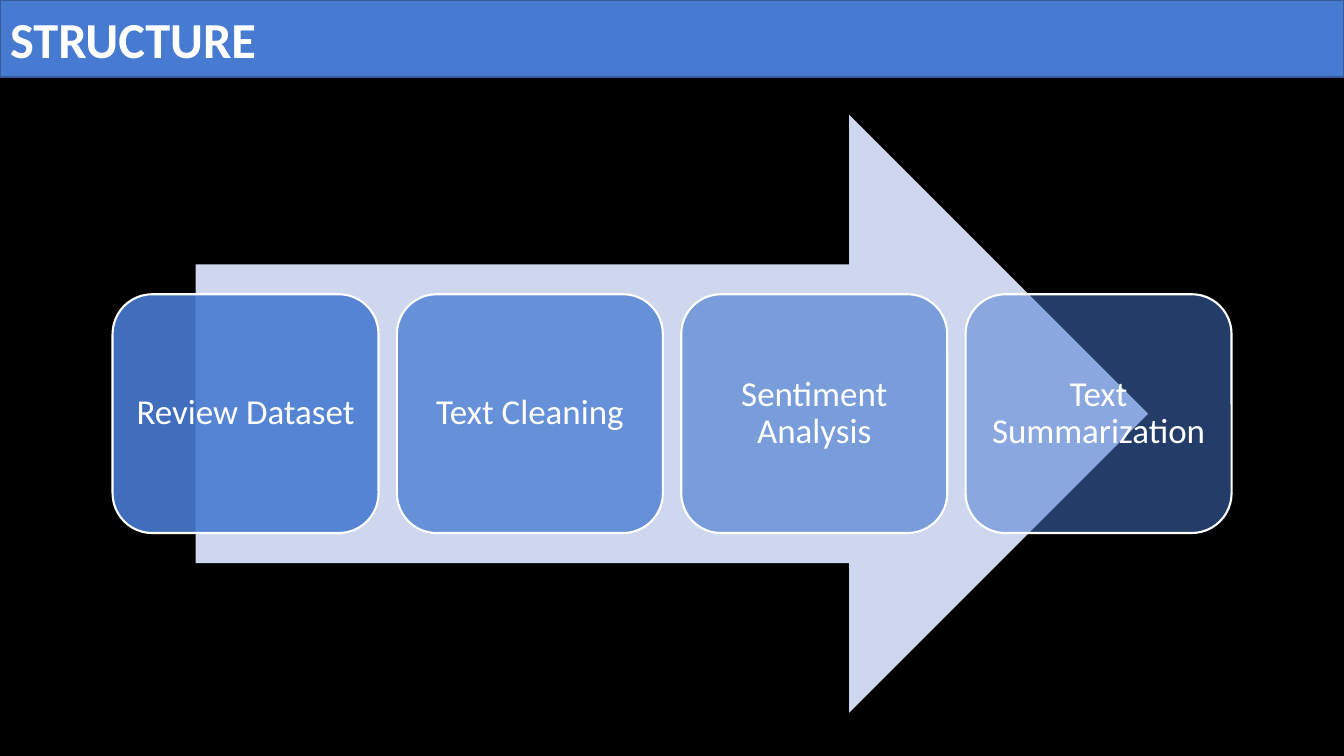
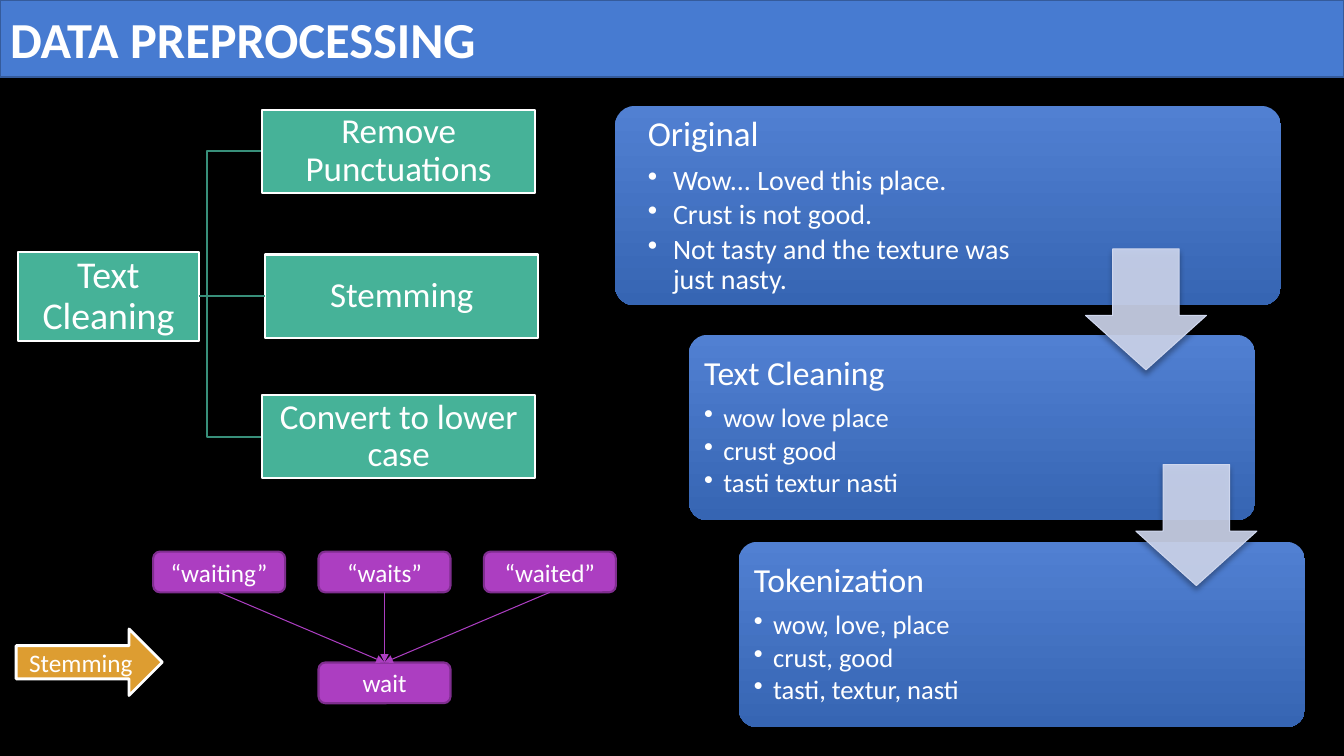
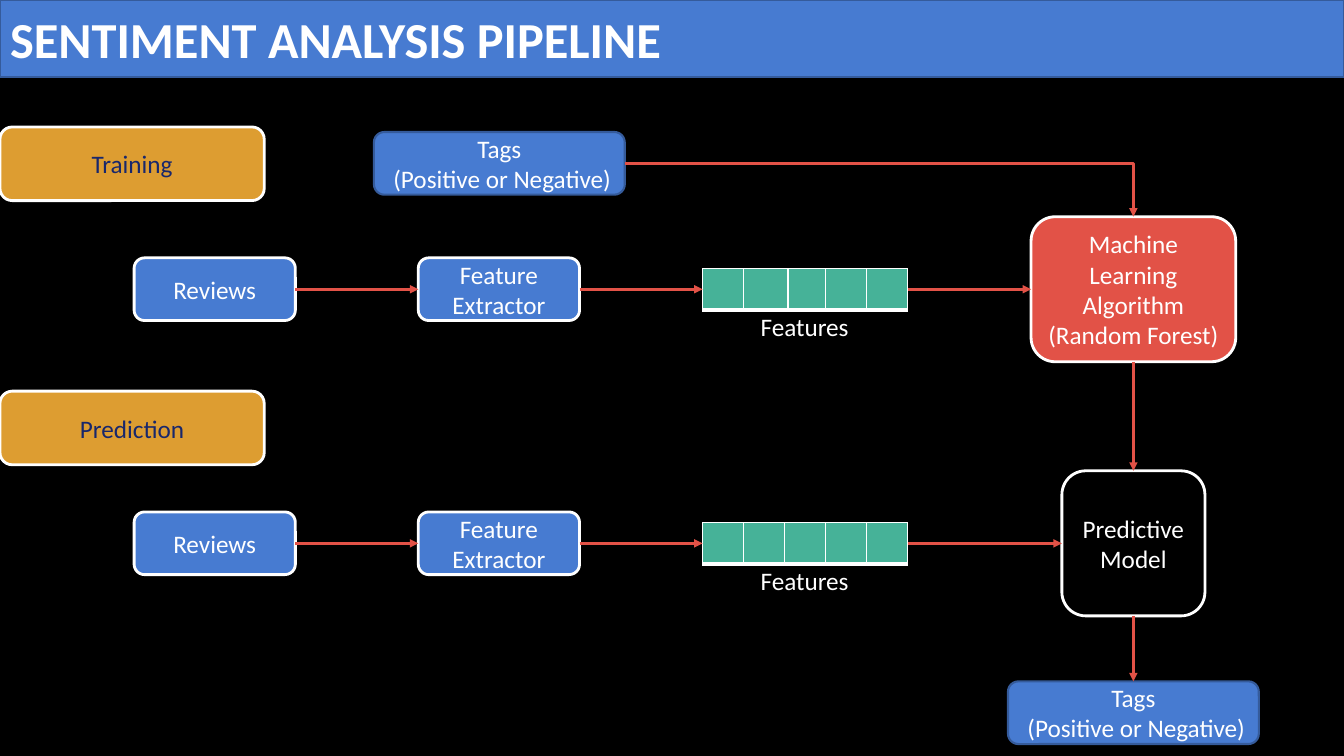
"""Build three slides on a review sentiment pipeline."""
from dataclasses import dataclass

from pptx import Presentation
from pptx.dml.color import RGBColor
from pptx.enum import shapes, text
from pptx.oxml import parse_xml
from pptx.oxml.ns import nsdecls, qn
from pptx.oxml.xmlchemy import OxmlElement
from pptx.util import Pt


@dataclass(frozen=True)
class Theme:
    font: str = "Calibri"
    back: str = "000000"
    white: str = "FFFFFF"
    blue: str = "477BD1"
    navy: str = "355B9B"
    ink: str = "18276C"
    pale: str = "CFD7EE"
    top: str = "5180D2"
    base: str = "3665B3"
    green: str = "46B298"
    moss: str = "388F7A"
    plum: str = "AC3EC1"
    grape: str = "7F2E8F"
    gold: str = "DD9D31"
    red: str = "E25247"
    head: int = 36
    root: int = 27
    step: int = 25
    body: int = 18


T = Theme()
S = shapes.MSO_SHAPE
C = shapes.MSO_CONNECTOR
MID = text.MSO_ANCHOR.MIDDLE
rgb = RGBColor.from_string


def box(page, kind, place, lines=(), fill=T.blue, edge=None, size=T.body,
        ink=T.white, pad=(7.2, 3.6, 7.2, 3.6), lead=1.0, alpha=100):
    """Add a preset shape with its text and return it."""
    shape = page.shapes.add_shape(kind, *map(Pt, place))
    shape.shadow.inherit = False
    shape.fill.solid()
    shape.fill.fore_color.rgb = rgb(fill)
    if alpha < 100:
        tone = shape._element.spPr.find(qn("a:solidFill"))[0]
        tone.append(OxmlElement("a:alpha"))
        tone[0].set("val", str(alpha * 1000))
    if edge:
        shape.line.color.rgb = rgb(edge[0])
        shape.line.width = Pt(edge[1])
    else:
        shape.line.fill.background()
    frame = shape.text_frame
    frame.word_wrap = True
    frame.vertical_anchor = MID
    (frame.margin_left, frame.margin_top,
     frame.margin_right, frame.margin_bottom) = map(Pt, pad)
    for n, words in enumerate(lines):
        para = frame.add_paragraph() if n else frame.paragraphs[0]
        para.alignment = text.PP_ALIGN.CENTER
        para.line_spacing = lead
        run = para.add_run()
        run.text = words
        run.font.name = T.font
        run.font.size = Pt(size)
        run.font.color.rgb = rgb(ink)
    return shape


def link(page, a, i, b, j, hue=T.red, wide=2, kind=C.STRAIGHT, head=True):
    """Join side i of a to side j of b (0 top, 1 left, 2 bottom, 3 right)."""
    ends = []
    for item, side in ((a, i), (b, j)):
        ends.append(item.left + int(item.width * (0.5, 0, 0.5, 1)[side]))
        ends.append(item.top + int(item.height * (0, 0.5, 1, 0.5)[side]))
    line = page.shapes.add_connector(kind, *ends)
    if not a.has_table:
        line.begin_connect(a, i)
    if not b.has_table:
        line.end_connect(b, j)
    line.line.color.rgb = rgb(hue)
    line.line.width = Pt(wide)
    form = line._element.spPr
    if head:
        tip = OxmlElement("a:tailEnd")
        tip.set("type", "triangle")
        form.find(qn("a:ln")).append(tip)
    form.append(OxmlElement("a:effectLst"))
    return line


deck = Presentation()
deck.slide_width, deck.slide_height = Pt(960), Pt(540)
ground = deck.slide_master.background.fill
ground.solid()
ground.fore_color.rgb = rgb(T.back)

pages = []
for words in ("STRUCTURE", "DATA PREPROCESSING", "SENTIMENT ANALYSIS PIPELINE"):
    page = deck.slides.add_slide(deck.slide_layouts[5])
    pages.append(page)
    title = page.shapes.title
    title.left, title.top, title.width, title.height = map(Pt, (0, 0, 960, 55.2))
    title.fill.solid()
    title.fill.fore_color.rgb = rgb(T.blue)
    title.line.color.rgb = rgb(T.navy)
    title.line.width = Pt(1.5)
    frame = title.text_frame
    frame.auto_size = text.MSO_AUTO_SIZE.NONE
    frame.vertical_anchor = MID
    para = frame.paragraphs[0]
    para.alignment = text.PP_ALIGN.LEFT
    run = para.add_run()
    run.text = words
    run.font.name = T.font
    run.font.size = Pt(T.head)
    run.font.bold = True
    run.font.color.rgb = rgb(T.white)
plan, prep, flow = pages

box(plan, S.RIGHT_ARROW, (139.7, 82.1, 680.4, 427), fill=T.pale)
steps = (("Review Dataset", 90), ("Text Cleaning", 77),
         ("Sentiment Analysis", 63), ("Text Summarization", 50))
for n, (words, alpha) in enumerate(steps):
    box(plan, S.ROUNDED_RECTANGLE, (80.4 + 203.1 * n, 210.2, 190, 170.6), [words],
        edge=(T.white, 1.5), size=T.step, pad=(7,) * 4, lead=0.9, alpha=alpha)

cards = (
    ((439.2, 75.6, 475.9, 142.6), 25, 20, 18, (19.4, 7.2, 166.5, 7.2),
     ("Original", "Wow... Loved this place.", "Crust is not good.",
      "Not tasty and the texture was just nasty.")),
    ((492, 239.2, 404.6, 132.5), 24, 19, 13.7, (7.2, 7.2, 129.7, 7.2),
     ("Text Cleaning", "wow love place", "crust good", "tasti textur nasti")),
    ((527.6, 387, 404.6, 132.5), 24, 19, 13.7, (7.2, 7.2, 129.7, 7.2),
     ("Tokenization", "wow, love, place", "crust, good", "tasti, textur, nasti")),
)
for place, big, small, dent, pad, lines in cards:
    card = box(prep, S.ROUNDED_RECTANGLE, place, lines, size=small, pad=pad, lead=0.9)
    card.adjustments[0] = 0.1
    card.fill.gradient()
    card.fill.gradient_angle = 270
    for stop, hue in zip(card.fill.gradient_stops, (T.top, T.base)):
        stop.color.rgb = rgb(hue)
    for n, para in enumerate(card.text_frame.paragraphs):
        para.alignment = text.PP_ALIGN.LEFT
        para.space_after = Pt(small * 0.15 if n else big * 0.35)
        if n:
            props = para._p.get_or_add_pPr()
            props.set("marL", str(Pt(dent)))
            props.set("indent", str(-Pt(dent)))
            mark = OxmlElement("a:buChar")
            mark.set("char", "•")
            props.append(mark)
        else:
            para.runs[0].font.size = Pt(big)

for x, y in ((775.4, 177.8), (811.4, 331.9)):
    down = box(prep, S.DOWN_ARROW, (x, y, 86.4, 86.4), fill=T.pale,
               edge=(T.pale, 0.75), alpha=90)
    down.adjustments[0], down.adjustments[1] = 0.55, 0.45
    form = down._element.spPr
    form.remove(form.find(qn("a:effectLst")))
    form.append(parse_xml(
        f'<a:effectLst {nsdecls("a")}><a:outerShdw blurRad="{Pt(4)}" dist="{Pt(3)}" '
        f'dir="5400000" rotWithShape="0"><a:srgbClr val="{T.back}">'
        '<a:alpha val="35000"/></a:srgbClr></a:outerShdw></a:effectLst>'))

pen = prep.shapes.build_freeform(Pt(187.2), Pt(108.2), scale=1.0)
pen.add_line_segments(
    [(Pt(x), Pt(y)) for x, y in ((148, 108.2), (148, 311.9), (187.2, 311.9))],
    close=False)
fork = pen.convert_to_shape()
fork.shadow.inherit = False
fork.fill.background()
fork.line.color.rgb = rgb(T.moss)
fork.line.width = Pt(1.5)

tree = []
for place, words, size in (
        ((13, 180, 128.9, 63.4), "Text Cleaning", T.root),
        ((187.2, 78.3, 195.1, 59.8), "Remove Punctuations", T.step),
        ((189.4, 181.8, 195.1, 59.8), "Stemming", T.step),
        ((187.2, 282, 195.1, 59.8), "Convert to lower case", T.step)):
    tree.append(box(prep, S.RECTANGLE, place, [words], T.green, (T.white, 1.5),
                    size, pad=(1.4,) * 4, lead=0.9))
link(prep, tree[0], 3, tree[2], 1, T.moss, 1.5, head=False)

stems = []
for col, y, words in ((1, 473.2, "wait"), (1, 394, "“waits”"),
                      (0, 394, "“waiting”"), (2, 394, "“waited”")):
    stems.append(box(prep, S.ROUNDED_RECTANGLE, (109.4 + 118.1 * col, y, 94.3, 29.1),
                     [words], T.plum, (T.grape, 1.5)))
for stem in stems[1:]:
    link(prep, stem, 2, stems[0], 0, T.plum, 0.75)
box(prep, S.RIGHT_ARROW, (11.5, 449.3, 104.4, 47.5), ["Stemming"], T.gold, (T.white, 2))

rim = (T.white, 2)
tags = ("Tags", " (Positive or Negative)")
label = box(flow, S.ROUNDED_RECTANGLE, (267.1, 94.3, 179.2, 44.8), tags,
            edge=(T.navy, 1.5))
learn = box(flow, S.ROUNDED_RECTANGLE, (736.5, 154.8, 146.2, 103.6),
            ("Machine Learning Algorithm", "(Random Forest)"), T.red, rim)
model = box(flow, S.ROUNDED_RECTANGLE, (758.5, 336.3, 102.2, 103.6),
            ["Predictive Model"], T.back, rim)
result = box(flow, S.ROUNDED_RECTANGLE, (720, 486.7, 179.2, 44.8), tags,
             edge=(T.navy, 1.5))

for words, top, mid, goal, cols in (
        ("Training", 90.7, 206.6, learn, (29.3, 31.7, 26.8, 29.3, 29.3)),
        ("Prediction", 279.4, 388.1, model, (29.3,) * 5)):
    box(flow, S.ROUNDED_RECTANGLE, (0, top, 188.8, 52.6), [words], T.gold, rim, ink=T.ink)
    row = [box(flow, S.ROUNDED_RECTANGLE, (x, mid - 22.4, 115.2, 44.8), [name], edge=rim)
           for x, name in ((95.8, "Reviews"), (298.8, "Feature Extractor"))]
    grid = flow.shapes.add_table(1, 5, *map(Pt, (501.9, mid - 14.7, sum(cols), 29.4)))
    for n, wide in enumerate(cols):
        grid.table.columns[n].width = Pt(wide)
        cell = grid.table.cell(0, n)
        props = cell._tc.get_or_add_tcPr()
        for side, thick in (("L", 1), ("R", 1), ("T", 1), ("B", 3)):
            props.append(parse_xml(
                f'<a:ln{side} {nsdecls("a")} w="{Pt(thick)}"><a:solidFill>'
                f'<a:srgbClr val="{T.white}"/></a:solidFill></a:ln{side}>'))
        cell.fill.solid()
        cell.fill.fore_color.rgb = rgb(T.green)
    note = flow.shapes.add_textbox(*map(Pt, (536.2, mid + 12, 77.8, 28.8)))
    note.text_frame.word_wrap = False
    run = note.text_frame.paragraphs[0].add_run()
    run.text = "Features"
    run.font.name = T.font
    run.font.size = Pt(T.body)
    run.font.color.rgb = rgb(T.white)
    row += [grid, goal]
    for a, b in zip(row, row[1:]):
        link(flow, a, 3, b, 1)

link(flow, learn, 2, model, 0)
link(flow, model, 2, result, 0)
bend = link(flow, label, 3, learn, 0, kind=C.ELBOW)
bend._element.spPr.find(qn("a:prstGeom")).set("prst", "bentConnector2")

deck.save("out.pptx")
